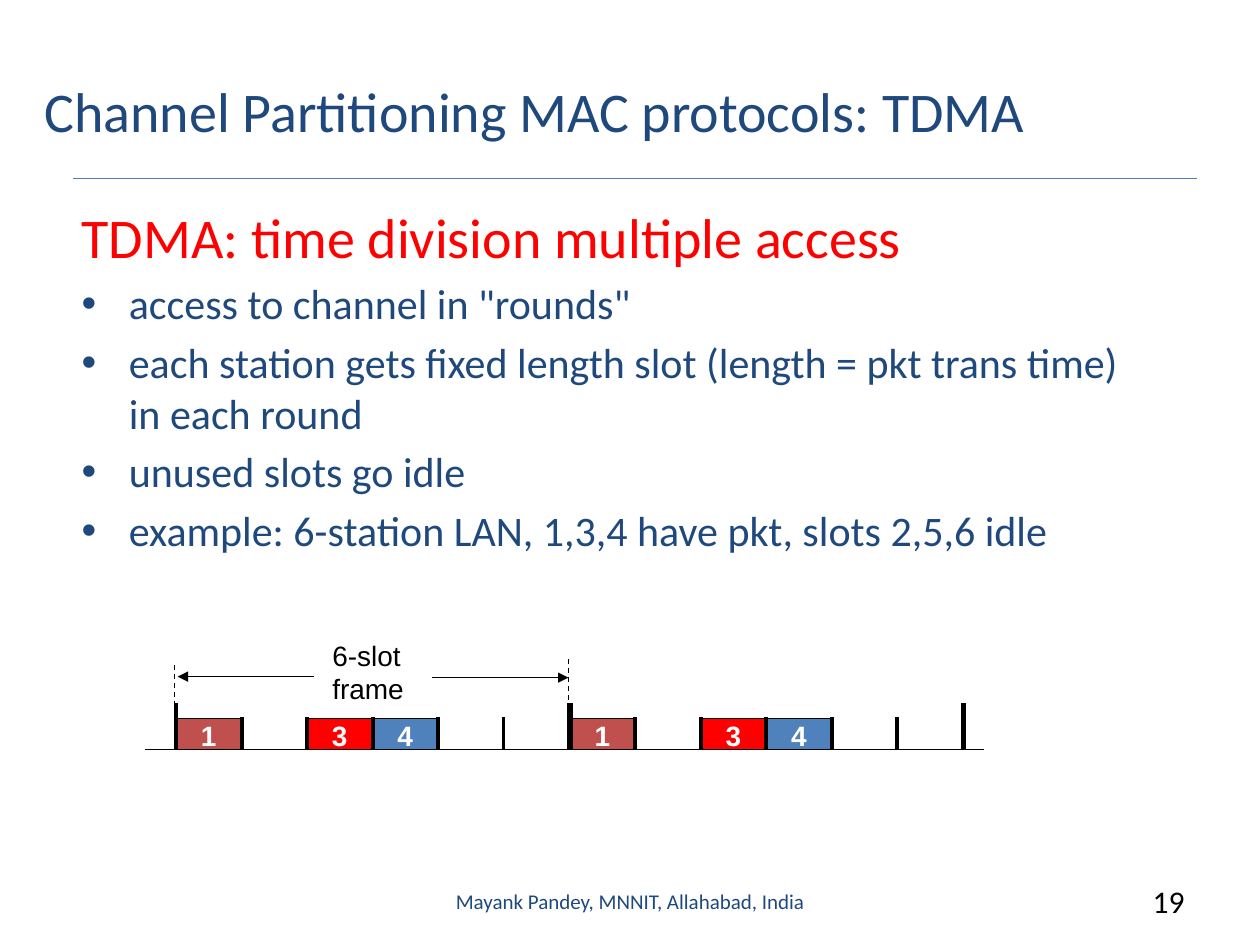
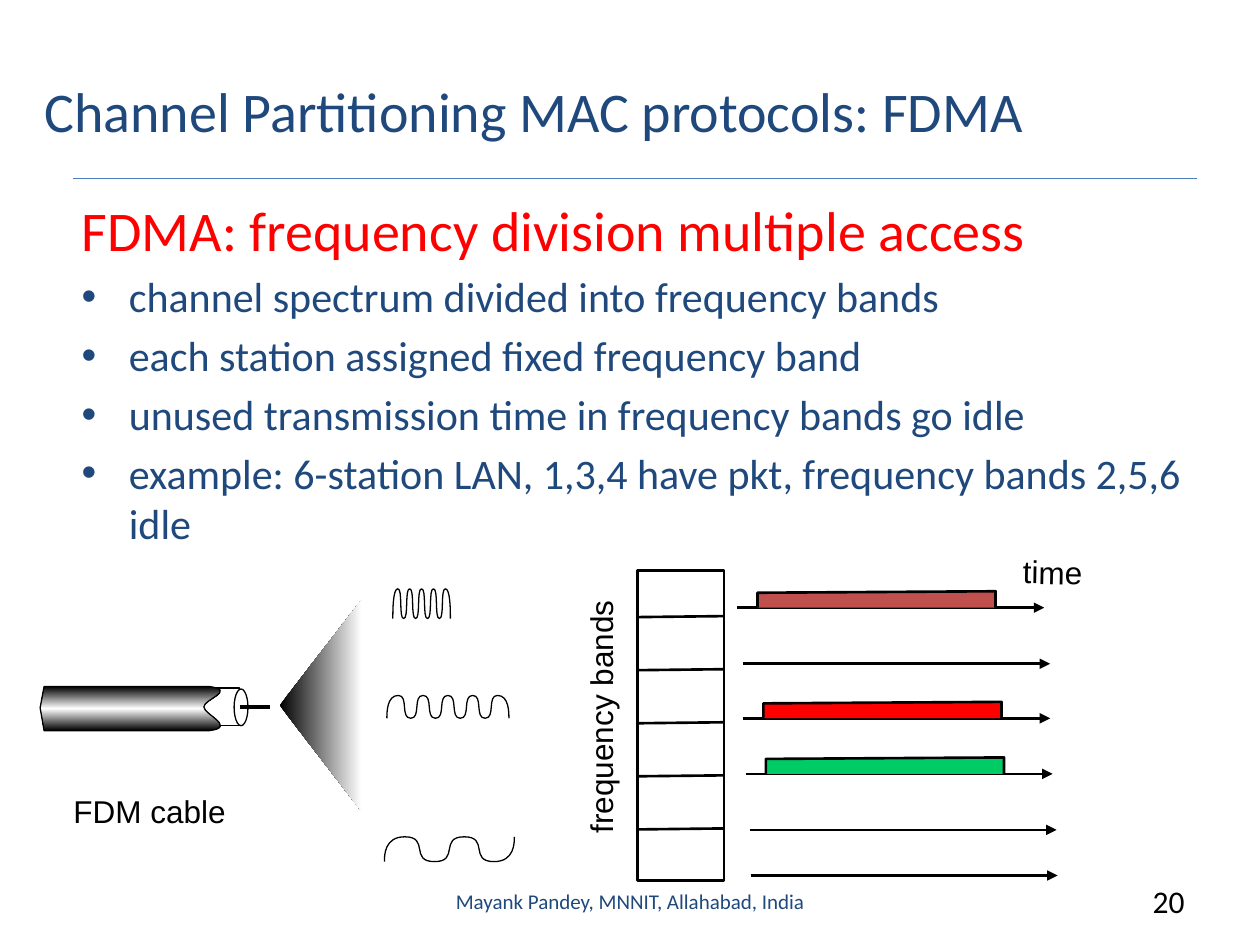
from lxml.etree import SubElement
from pptx import Presentation
from pptx.dml.color import RGBColor
from pptx.enum.dml import MSO_LINE
from pptx.enum.shapes import MSO_CONNECTOR as LINK, MSO_SHAPE as SHAPE
from pptx.enum.text import MSO_ANCHOR as ANCHOR, MSO_AUTO_SIZE as FIT, PP_ALIGN as ALIGN
from pptx.oxml.ns import qn
from pptx.util import Cm, Pt

# Colours and fonts
NAVY = RGBColor(0x1F, 0x49, 0x7D)
RULE_BLUE = RGBColor(0x4B, 0x7E, 0xBC)
BLUE = RGBColor(0x4F, 0x81, 0xBD)
RED = RGBColor(0xFF, 0x00, 0x00)
BRICK = RGBColor(0xC0, 0x50, 0x4D)
GREEN = RGBColor(0x00, 0xCC, 0x66)
BLACK = RGBColor(0x00, 0x00, 0x00)
WHITE = RGBColor(0xFF, 0xFF, 0xFF)
TEXT_FONT = "Calibri"
LABEL_FONT = "Arial"
FOOTER = "Mayank Pandey, MNNIT, Allahabad, India"


class Lecture:
    """Holds the deck, its style and the current page; all lengths are in cm."""

    def __init__(self):
        self.deck = Presentation()
        self.deck.slide_width, self.deck.slide_height = Cm(25.4), Cm(19.05)
        self.page = None

    def new_page(self, title, number):
        self.page = self.deck.slides.add_slide(self.deck.slide_layouts[1])
        self.line((1.47, 3.6), (24.13, 3.6), color=RULE_BLUE)
        box = self.page.shapes.title
        self.place(box, 0.64, 0.64, 23.98, 3.18)
        box.text_frame.text = title
        box.text_frame.vertical_anchor = ANCHOR.MIDDLE
        para = box.text_frame.paragraphs[0]
        para.alignment = ALIGN.LEFT
        self.style(para, 32, NAVY)
        self.label(FOOTER, 8.68, 17.65, 8.05, 1.02, 12, NAVY, TEXT_FONT,
                   align=ALIGN.CENTER, anchor=ANCHOR.MIDDLE, wrap=True)
        self.label(str(number), 22.23, 17.65, 1.9, 1.02, 18, BLACK, TEXT_FONT,
                   align=ALIGN.RIGHT, wrap=True)

    def place(self, shape, left, top, width, height):
        shape.left, shape.top = Cm(left), Cm(top)
        shape.width, shape.height = Cm(width), Cm(height)

    def style(self, para, size, color, font=TEXT_FONT, bold=False):
        para.font.name, para.font.size, para.font.bold = font, Pt(size), bold
        para.font.color.rgb = color

    def body(self, heading, points, top, width, height):
        box = self.page.placeholders[1]
        self.place(box, 1.39, top, width, height)
        frame = box.text_frame
        frame.text = "\n".join([heading, *points])
        frame.auto_size = FIT.NONE
        first, *rest = frame.paragraphs
        first.space_before = Pt(0)
        SubElement(first._p.get_or_add_pPr(), qn("a:buNone"))
        self.style(first, 32, RED)
        for para in rest:
            self.style(para, 24, NAVY)

    def label(self, text, left, top, width, height, size, color=BLACK, font=LABEL_FONT,
              bold=False, align=ALIGN.LEFT, anchor=ANCHOR.TOP, wrap=False, turn=0):
        box = self.page.shapes.add_textbox(Cm(left), Cm(top), Cm(width), Cm(height))
        box.rotation = turn
        frame = box.text_frame
        frame.text = text
        frame.word_wrap, frame.vertical_anchor = wrap, anchor
        frame.auto_size = FIT.NONE if wrap else FIT.SHAPE_TO_FIT_TEXT
        for para in frame.paragraphs:
            para.alignment = align
            self.style(para, size, color, font, bold)

    def line(self, start, end, weight=0.75, color=BLACK, dashed=False, arrow=False):
        link = self.page.shapes.add_connector(LINK.STRAIGHT, *map(Cm, start + end))
        link.line.color.rgb, link.line.width = color, Pt(weight)
        if dashed:
            link.line.dash_style = MSO_LINE.DASH
        properties = link.element.spPr
        if arrow:
            SubElement(properties.find(qn("a:ln")), qn("a:tailEnd"), type="triangle")
        SubElement(properties, qn("a:effectLst"))

    def paint(self, shape, fill, weight):
        shape.shadow.inherit = False
        if fill is None:
            shape.fill.background()
        else:
            shape.fill.solid()
            shape.fill.fore_color.rgb = fill
        if weight:
            shape.line.color.rgb, shape.line.width = BLACK, Pt(weight)
        else:
            shape.line.fill.background()

    def shape(self, kind, left, top, width, height, fill=WHITE, weight=0.75):
        box = self.page.shapes.add_shape(kind, Cm(left), Cm(top), Cm(width), Cm(height))
        self.paint(box, fill, weight)

    def outline(self, start, segments, fill=None, weight=0.75, closed=False):
        """Draw segments of one point (straight) or three points (cubic curve)."""
        builder = self.page.shapes.build_freeform(Cm(start[0]), Cm(start[1]))
        points = [(Cm(x), Cm(y)) for segment in segments for x, y in segment]
        builder.add_line_segments(points, close=closed)
        shape = builder.convert_to_shape()
        strokes = iter(list(shape.element.spPr.iter(qn("a:lnTo"))))
        for segment in segments:
            parts = [next(strokes) for _ in segment]
            if len(parts) == 3:
                curve = parts[0]
                bend = SubElement(curve.getparent(), qn("a:cubicBezTo"))
                curve.addprevious(bend)
                for part in parts:
                    bend.append(part[0])
                    part.getparent().remove(part)
        self.paint(shape, fill, weight)
        return shape

    def gradient(self, shape, colors, angle):
        """Spread the colours evenly over the shape."""
        shape.fill.gradient()
        shape.fill.gradient_angle = angle
        stops = shape.element.spPr.find(qn("a:gradFill")).find(qn("a:gsLst"))
        for stop in list(stops):
            stops.remove(stop)
        for index, color in enumerate(colors):
            position = str(100000 * index // (len(colors) - 1))
            stop = SubElement(stops, qn("a:gs"), pos=position)
            SubElement(stop, qn("a:srgbClr"), val=str(color))

    def wave(self, left, top, height, lead, step, swings):
        """A rounded square wave with a short rise or fall at both ends."""
        x, y, other = left + lead, top, top + height
        curves = [((left, other - height / 4), (left, y), (x, y))]
        for _ in range(swings):
            curves.append(((x + 0.85 * step, y), (x + 0.15 * step, other),
                           (x + step, other)))
            x, y, other = x + step, other, y
        end = x + lead
        curves.append(((end, y), (end, (y + 3 * other) / 4), (end, other)))
        self.outline((left, top + height), curves)


def draw_slots(lecture):
    start, slot, base = 3.55, 1.32, 15.11
    frame_width, border_weights = 7.94, (2.25, 3, 3)
    lecture.line((2.92, base), (19.84, base))

    # Busy slots of each frame
    for frame in range(2):
        for station, color in ((1, BRICK), (3, RED), (4, BLUE)):
            left = start + frame * frame_width + (station - 1) * slot
            lecture.shape(SHAPE.RECTANGLE, left, base - 0.63, slot, 0.63, color)
            lecture.label(str(station), left + 0.25, base - 0.74, 0.86, 0.94, 16,
                          WHITE, bold=True)

    # Slot borders, taller where a frame starts
    for frame, weight in enumerate(border_weights):
        left = start + frame * frame_width
        lecture.line((left, base - 0.94), (left, base), weight)
        if frame < 2:
            for index in range(1, 6):
                x = left + index * slot
                lecture.line((x, base - 0.66), (x, base), 2.25)

    # Length of one frame
    lecture.label("6-slot\nframe", 6.45, 12.74, 2.11, 1.63, 16)
    lecture.line((8.71, 13.66), (11.46, 13.66), arrow=True)
    lecture.line((6.32, 13.64), (3.58, 13.64), arrow=True)
    lecture.line((3.52, 13.41), (3.52, 14.25), dashed=True)
    lecture.line((11.46, 13.28), (11.46, 14.12), dashed=True)


def draw_bands(lecture):
    # Stack of frequency bands
    left, right = 12.85, 14.6
    lecture.shape(SHAPE.RECTANGLE, left, 11.5, right - left, 6.25, weight=1.5)
    for index in range(5):
        y = 12.44 + index * 1.07
        lecture.line((left, y), (right, y - 0.02), 1.5)

    # Time axis of each band, with a bar where it is in use
    axes = ((14.86, 12.25, BRICK), (14.98, 13.38, None), (14.98, 14.48, RED),
            (15.03, 15.6, GREEN), (15.11, 16.73, None), (15.13, 17.65, None))
    for x, y, color in axes:
        lecture.line((x, y), (x + 6.19, y), 1.5, arrow=True)
        if color is not None:
            near, far = x + 0.41, x + 5.21
            lecture.outline((near, y), [[(near, y - 0.3)], [(far, y - 0.33)], [(far, y)]],
                            color, 1.5)
    lecture.label("frequency bands", 9.42, 13.85, 5.38, 1.02, 18, turn=270)
    lecture.label("time", 20.37, 11.02, 1.83, 1.02, 18, turn=1.1)


def draw_cable(lecture):
    # Cone spreading from the cable
    cone = lecture.outline((7.29, 12.09), [[(5.64, 14.22)], [(7.29, 16.36)]],
                           WHITE, 0, closed=True)
    lecture.gradient(cone, (BLACK, WHITE), 0)

    # Core, sheath and wire
    lecture.shape(SHAPE.RECTANGLE, 4.09, 13.87, 0.74, 0.76)
    sheath = lecture.outline((0.89, 13.84), [
        [(0.81, 14.27)], [(0.89, 14.73)], [(4.22, 14.73)],
        [(4.78, 14.66), (4.11, 14.4), (4.11, 14.25)],
        [(4.11, 14.1), (4.78, 13.92), (4.22, 13.84)],
    ], WHITE, closed=True)
    lecture.gradient(sheath, (BLACK, WHITE, BLACK), 90)
    lecture.shape(SHAPE.OVAL, 4.72, 13.89, 0.28, 0.74)
    lecture.line((4.83, 14.25), (5.44, 14.25), 2.25)

    # Carrier waves
    lecture.wave(7.8, 14.02, 0.46, lead=0.23, step=0.25, swings=8)
    lecture.wave(7.92, 11.87, 0.6, lead=0.1, step=0.12, swings=8)
    lecture.wave(7.75, 16.87, 0.5, lead=0.41, step=0.6, swings=3)
    lecture.label("FDM cable", 1.23, 15.85, 3.66, 1.02, 18)


def main():
    lecture = Lecture()

    # Time division
    lecture.new_page("Channel Partitioning MAC protocols: TDMA", 19)
    lecture.body("TDMA: time division multiple access", [
        'access to channel in "rounds"',
        "each station gets fixed length slot (length = pkt trans time) in each round",
        "unused slots go idle",
        "example: 6-station LAN, 1,3,4 have pkt, slots 2,5,6 idle",
    ], 3.95, 21.59, 8.13)
    draw_slots(lecture)

    # Frequency division
    lecture.new_page("Channel Partitioning MAC protocols: FDMA", 20)
    lecture.body("FDMA: frequency division multiple access", [
        "channel spectrum divided into frequency bands",
        "each station assigned fixed frequency band",
        "unused transmission time in frequency bands go idle",
        "example: 6-station LAN, 1,3,4 have pkt, frequency bands 2,5,6 idle",
    ], 3.81, 22.83, 12.9)
    draw_bands(lecture)
    draw_cable(lecture)

    lecture.deck.save("out.pptx")


if __name__ == "__main__":
    main()
